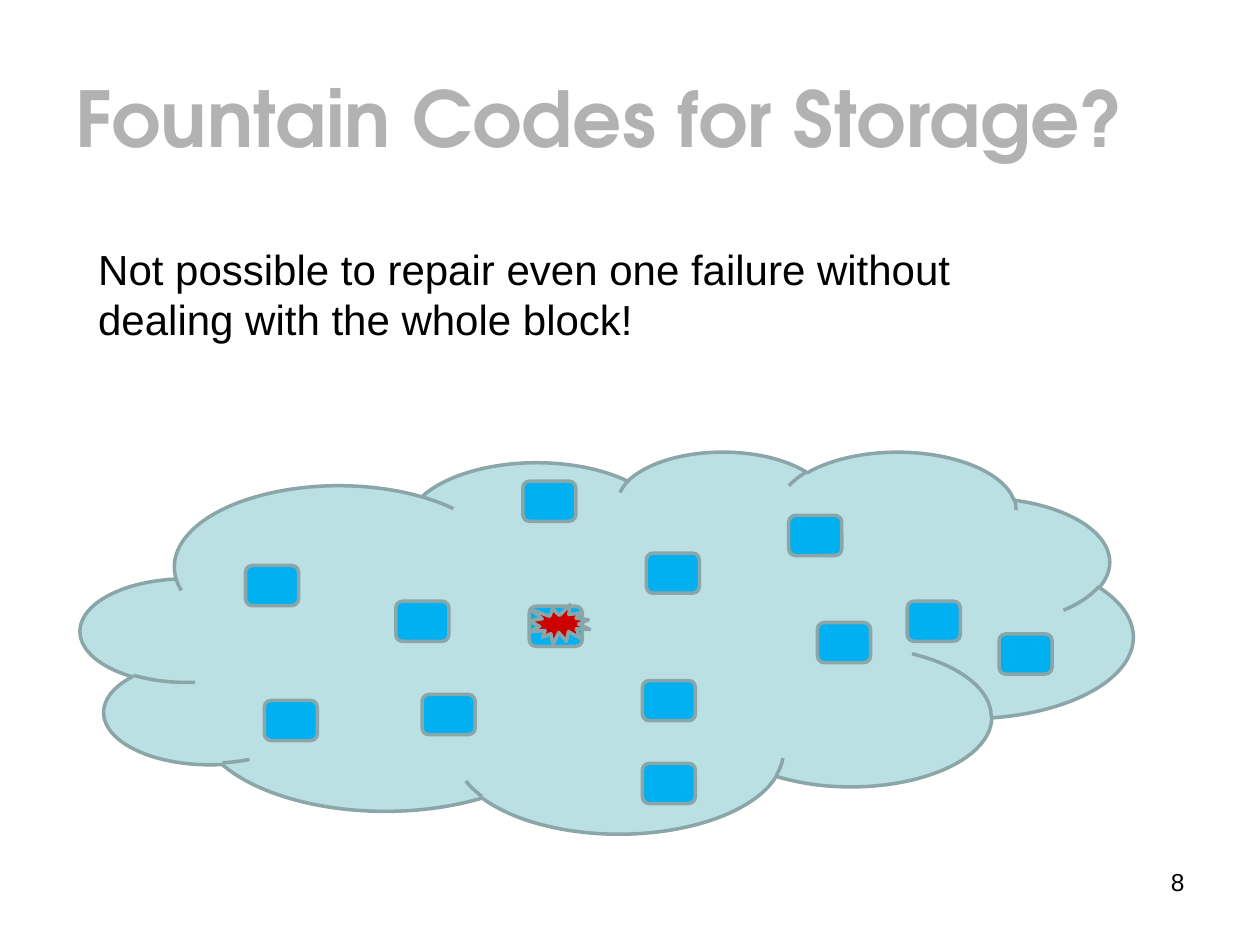
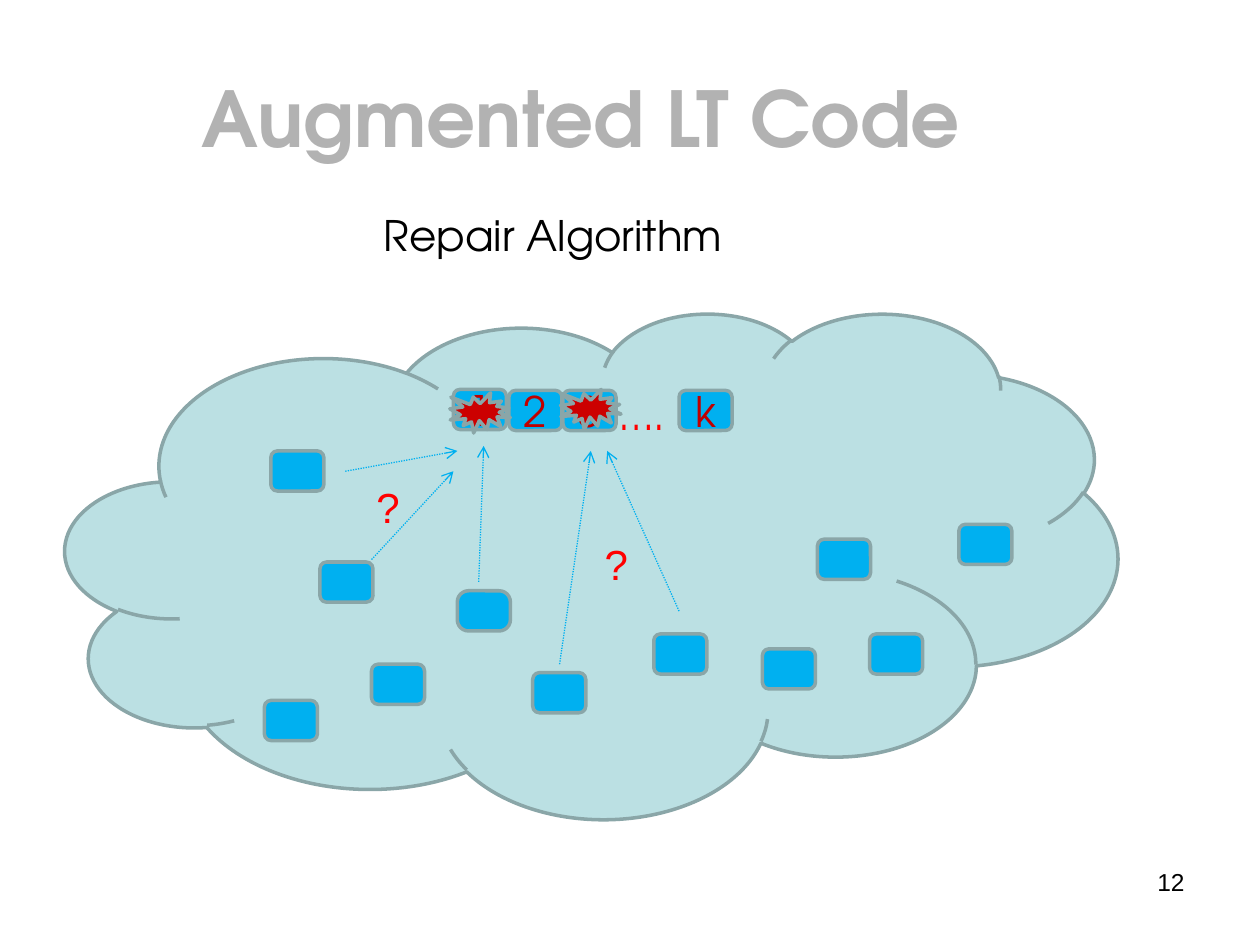
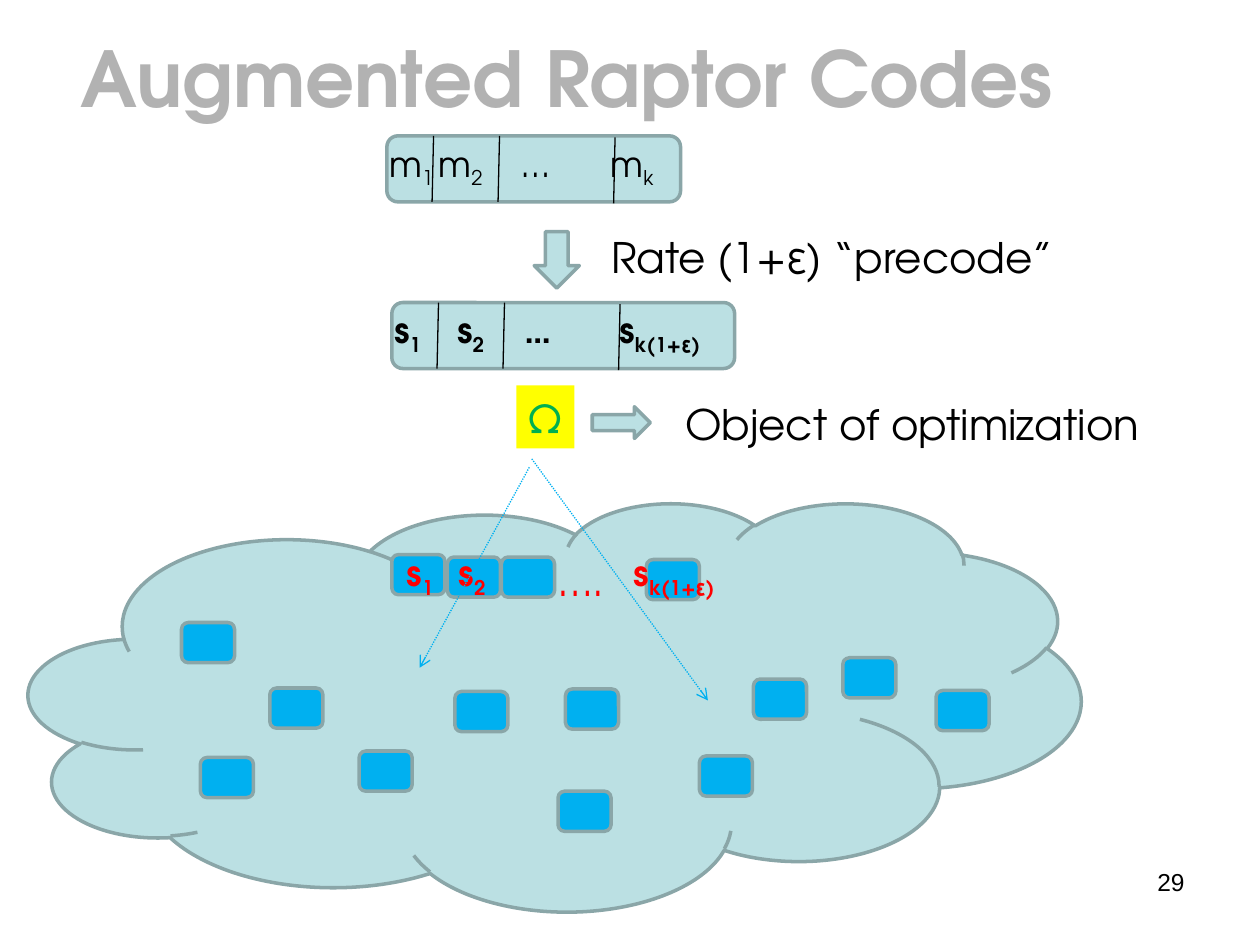
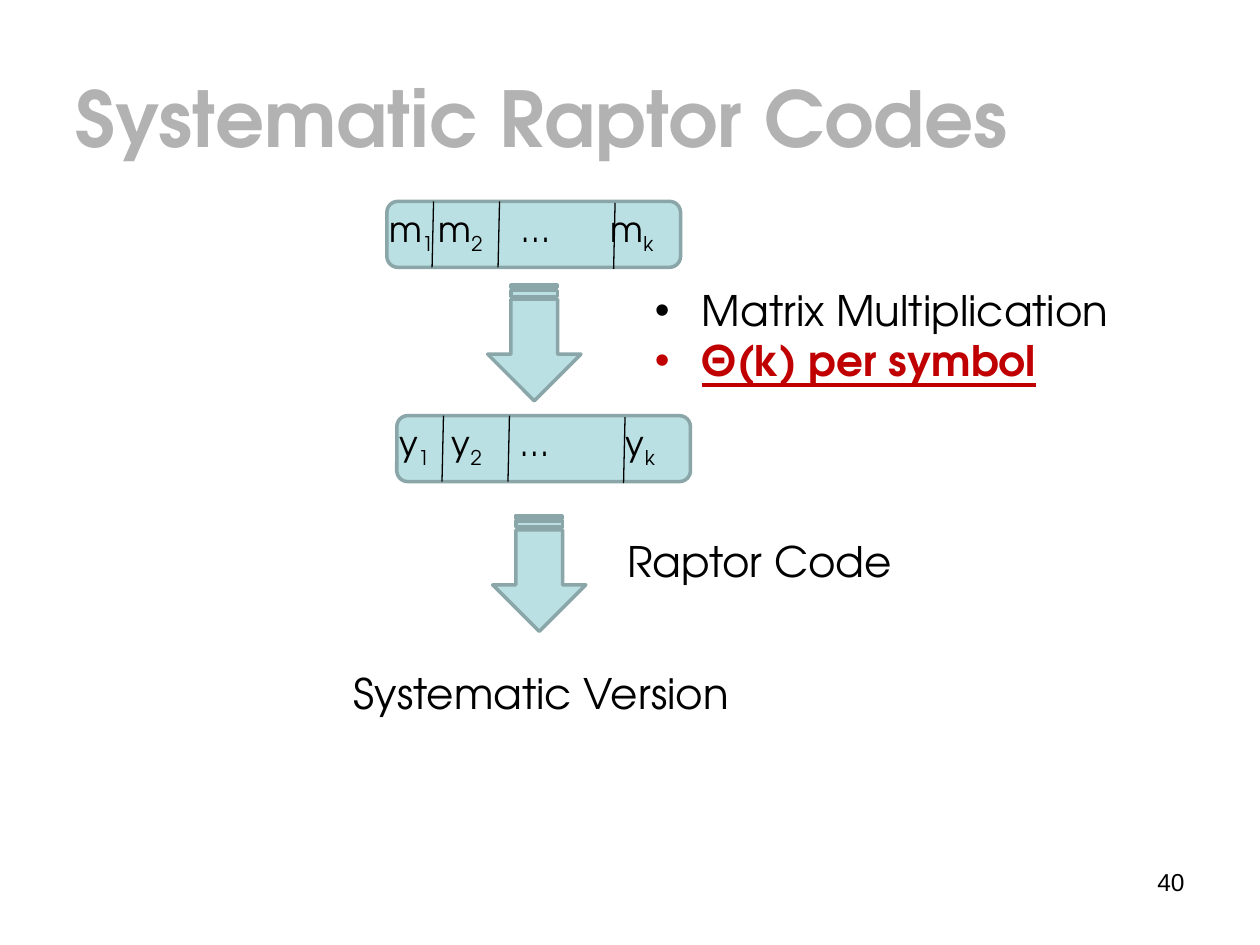
"""Build four slides on rateless codes for distributed storage."""
from lxml import etree
from pptx import Presentation
from pptx import util as u
from pptx.dml.color import RGBColor
from pptx.enum import dml, shapes, text
from pptx.oxml.ns import qn

DISPLAY, BODY = "TeX Gyre Adventor", "Arial"
BLACK, GREY, RED, CRIMSON = "000000", "B2B2B2", "FF0000", "C00000"
PALE, EDGE, BLUE, BURST = "BBE0E3", "8AA6A8", "00B0F0", "CC0000"
YELLOW, GREEN = "FFFF00", "00B050"
NODE_SIZE, BURST_SIZE = (1.07, 0.81), (1.22, 0.81)
STRIP_HEIGHT, DIVIDERS = 1.33, ((0.94, 0), (2.27, 0), (4.6, 0.03))
MESSAGE = (("m", "1"), ("m", "2"), ("…", ""), ("m", "k"))
MESSAGE_TABS = (0.99, 2.66, 4.46)
KIND = shapes.MSO_SHAPE


def colour(value):
    """Turn a hex string into a colour."""
    return RGBColor.from_string(value)


def add_span(para, words, size=24, ink=BLACK, font=DISPLAY, bold=False):
    """Add one run of text and return it."""
    span = para.add_run()
    span.text = words
    span.font.name, span.font.size, span.font.bold = font, u.Pt(size), bold
    span.font.color.rgb = colour(ink)
    return span


def add_box(slide, left, top, width, height, wrap=True):
    """Add an empty text box."""
    box = slide.shapes.add_textbox(*map(u.Cm, (left, top, width, height)))
    box.text_frame.word_wrap = wrap
    return box


def add_label(slide, words, left, top, width, height=1.27, wrap=True, **style):
    """Add a text box with a single run."""
    box = add_box(slide, left, top, width, height, wrap)
    add_span(box.text_frame.paragraphs[0], words, **style)
    return box


def add_title(slide, words, left=1.27, top=0.76, height=3.18, indent=0):
    """Add the slide title."""
    box = add_label(slide, words, left, top, 22.86, height, size=44, ink=GREY, bold=True)
    box.text_frame.vertical_anchor = text.MSO_ANCHOR.MIDDLE
    if indent:
        box.text_frame.paragraphs[0]._p.get_or_add_pPr().set("marL", str(u.Cm(indent)))


def add_page(deck, number):
    """Add a blank slide with its page number."""
    page = deck.slides.add_slide(deck.slide_layouts[6])
    box = add_label(page, str(number), 18.21, 17.35, 5.92, 1.32, size=14, font=BODY)
    box.text_frame.paragraphs[0].alignment = text.PP_ALIGN.RIGHT
    return page


def add_figure(slide, kind, left, top, width, height, fill=PALE):
    """Add a filled preset shape with the shared outline."""
    figure = slide.shapes.add_shape(kind, *map(u.Cm, (left, top, width, height)))
    figure.shadow.inherit = False
    figure.fill.solid()
    figure.fill.fore_color.rgb = colour(fill)
    figure.line.color.rgb = colour(EDGE)
    figure.line.width = u.Pt(2)
    return figure


def add_cloud(slide, left, top, height):
    """Add the storage cloud."""
    add_figure(slide, KIND.CLOUD, left, top, 21.21, height)


def add_node(slide, left, top, words=""):
    """Add a storage node, with a symbol if given."""
    node = add_figure(slide, KIND.ROUNDED_RECTANGLE, left, top, *NODE_SIZE, BLUE)
    if words:
        node.text_frame.vertical_anchor = text.MSO_ANCHOR.MIDDLE
        para = node.text_frame.paragraphs[0]
        para.alignment = text.PP_ALIGN.CENTER
        add_span(para, words, ink=CRIMSON)
    return node


def add_nodes(slide, places):
    """Add plain nodes at the given places."""
    for left, top in places:
        add_node(slide, left, top)


def add_burst(slide, left, top):
    """Mark a failed node."""
    add_figure(slide, KIND.EXPLOSION1, left, top, *BURST_SIZE, BURST)


def add_line(slide, start_x, start_y, end_x, end_y, ink=BLACK):
    """Add a thin straight line without shadow."""
    line = slide.shapes.add_connector(
        shapes.MSO_CONNECTOR.STRAIGHT, *map(u.Cm, (start_x, start_y, end_x, end_y)))
    line.line.color.rgb = colour(ink)
    line.line.width = u.Pt(0.75)
    etree.SubElement(line._element.spPr, qn("a:effectLst"))
    return line


def add_arrow(slide, *ends):
    """Add a dotted blue arrow."""
    line = add_line(slide, *ends, ink=BLUE).line
    line.dash_style = dml.MSO_LINE.ROUND_DOT
    etree.SubElement(line._get_or_add_ln(), qn("a:tailEnd"), type="arrow")


def add_symbols(slide, symbols, tabs, left, top, width, **style):
    """Add symbols with subscripts, set apart by tab stops."""
    box = add_box(slide, left, top, width, 1.12)
    para = box.text_frame.paragraphs[0]
    stops = etree.SubElement(para._p.get_or_add_pPr(), qn("a:tabLst"))
    for stop in tabs:
        etree.SubElement(stops, qn("a:tab"), pos=str(u.Cm(stop)), algn="l")
    for index, (base, subscript) in enumerate(symbols):
        add_span(para, ("\t" if index else "") + base, size=20, **style)
        if subscript:
            span = add_span(para, subscript, size=20, **style)
            span._r.get_or_add_rPr().set("baseline", "-25000")


def add_strip(slide, symbols, tabs, left, top, width=5.92, **style):
    """Add a block strip divided into cells of symbols."""
    add_figure(slide, KIND.ROUNDED_RECTANGLE, left, top, width, STRIP_HEIGHT)
    for across, drop in DIVIDERS:
        x, y = left + across, top + drop
        add_line(slide, x, y, x - 0.03, y + STRIP_HEIGHT)
    add_symbols(slide, symbols, tabs, left - 0.2, top, width + 0.22, **style)


def add_bullet(para, indent):
    """Give a paragraph a hanging round bullet."""
    properties = para._p.get_or_add_pPr()
    properties.set("marL", str(u.Cm(indent)))
    properties.set("indent", str(-u.Cm(indent)))
    etree.SubElement(properties, qn("a:buFont"), typeface=BODY)
    etree.SubElement(properties, qn("a:buChar"), char="•")


def build_fountain(deck):
    """Show one failed node among the fountain-coded ones."""
    page = add_page(deck, 8)
    add_title(page, "Fountain Codes for Storage?")
    add_cloud(page, 1.63, 9.09, 7.7)
    add_nodes(page, (
        (7.98, 12.12), (10.54, 9.7), (5.33, 14.12), (10.67, 12.22), (15.9, 10.39),
        (16.48, 12.55), (8.51, 14), (12.95, 13.72), (20.14, 12.78), (13.03, 11.15),
        (4.95, 11.4), (12.95, 15.39), (18.29, 12.12)))
    add_burst(page, 10.67, 12.19)
    add_label(page, "Not possible to repair even one failure without dealing with the whole block!",
              1.73, 4.78, 19.08, 2.31, font=BODY)


def build_repair(deck):
    """Show the repair of failed systematic nodes."""
    page = add_page(deck, 12)
    add_title(page, "Augmented LT Code", indent=2.54)
    add_cloud(page, 1.32, 6.3, 10.19)
    add_nodes(page, (
        (6.45, 11.33), (5.33, 14.12), (15.37, 13.08), (16.48, 10.87), (7.49, 13.39),
        (10.74, 13.56), (19.33, 10.57), (5.46, 9.09), (13.18, 12.78), (17.53, 12.78)))
    add_node(page, 9.22, 11.91).adjustments[0] = 0.28
    for words, left, top in (("1", 9.14, 7.85), ("k", 13.69, 7.87),
                             ("2", 10.26, 7.87), ("3", 11.35, 7.87)):
        add_node(page, left, top, words)
    add_label(page, "….", 12.24, 7.7, 1.78, ink=RED)
    add_label(page, "Repair Algorithm", 7.49, 4.09, 7.39, wrap=False)
    add_burst(page, 9.07, 7.92)
    add_burst(page, 11.3, 7.85)
    for ends in ((11.28, 13.39, 11.91, 9.09), (13.69, 12.32, 12.24, 9.09),
                 (7.49, 11.28, 9.14, 9.5), (9.65, 11.73, 9.75, 8.99),
                 (6.96, 9.5, 9.22, 9.09)):
        add_arrow(page, *ends)
    for left, top, width in ((11.94, 10.74, 0.71), (7.34, 9.58, 0.79)):
        add_label(page, "?", left, top, width, ink=RED, font=BODY)


def build_raptor(deck):
    """Show precoding followed by storage in the cloud."""
    page = add_page(deck, 29)
    add_title(page, "Augmented Raptor Codes", 1.37, 0.28, 2.54)
    add_strip(page, MESSAGE, MESSAGE_TABS, 7.8, 2.74)
    add_figure(page, KIND.DOWN_ARROW, 10.77, 4.67, 0.91, 1.14)
    first, second, last = ("s", "1"), ("s", "2"), ("s", "k(1+ε)")
    add_strip(page, (first, second, ("…", ""), last), (1.27, 2.62, 4.54),
              7.9, 6.1, 6.91, bold=True)
    add_label(page, "Rate (1+ε) “precode”", 12.07, 4.55, 9.42, wrap=False)
    add_cloud(page, 0.58, 10.13, 8.23)
    add_nodes(page, (
        (5.44, 13.87), (7.9, 11.18), (4.04, 15.27), (14.1, 15.24), (15.19, 13.69),
        (7.24, 15.14), (11.4, 13.89), (18.87, 13.92), (13.03, 11.28), (3.66, 12.55),
        (11.25, 15.95), (16.99, 13.26), (9.02, 11.23), (10.11, 11.23), (9.17, 13.94)))
    add_label(page, "….", 11, 11.05, 1.78, ink=RED)
    add_symbols(page, (first, second, last), (1.05, 4.58), 7.95, 11, 7.11, ink=RED, bold=True)
    omega = add_label(page, "Ω", 10.41, 7.77, 1.17, wrap=False, ink=GREEN)
    omega.fill.solid()
    omega.fill.fore_color.rgb = colour(YELLOW)
    add_arrow(page, 10.72, 9.25, 14.27, 14.12)
    add_arrow(page, 10.67, 9.42, 8.46, 13.46)
    add_label(page, "Object of optimization", 13.56, 7.9, 9.78, wrap=False)
    add_figure(page, KIND.RIGHT_ARROW, 11.94, 8.2, 1.17, 0.64)


def build_systematic(deck):
    """Show the steps to a systematic code."""
    page = add_page(deck, 40)
    add_title(page, "Systematic Raptor Codes")
    add_strip(page, MESSAGE, MESSAGE_TABS, 7.8, 4.06)
    add_strip(page, (("y", "1"), ("y", "2"), ("…", ""), ("y", "k")), (1.06, 2.45, 4.57), 8, 8.38)
    for left, top in ((9.6, 5.97), (9.7, 10.62)):
        add_figure(page, KIND.STRIPED_RIGHT_ARROW, left, top, 2.34, 1.88).rotation = 90
    add_label(page, "Raptor Code", 12.4, 10.67, 5.94, wrap=False)
    add_label(page, "Systematic Version", 6.88, 13.34, 9.63)
    frame = add_box(page, 12.95, 5.61, 10.59, 2.31).text_frame
    product, cost = frame.paragraphs[0], frame.add_paragraph()
    for para in (product, cost):
        add_bullet(para, 0.95)
    add_span(product, "Matrix Multiplication")
    add_span(cost, "Θ(k) per symbol", ink=CRIMSON, bold=True).font.underline = True


def main():
    """Build and save the deck."""
    deck = Presentation()
    deck.slide_width, deck.slide_height = u.Cm(25.4), u.Cm(19.05)
    for build in (build_fountain, build_repair, build_raptor, build_systematic):
        build(deck)
    deck.save("out.pptx")


if __name__ == "__main__":
    main()
